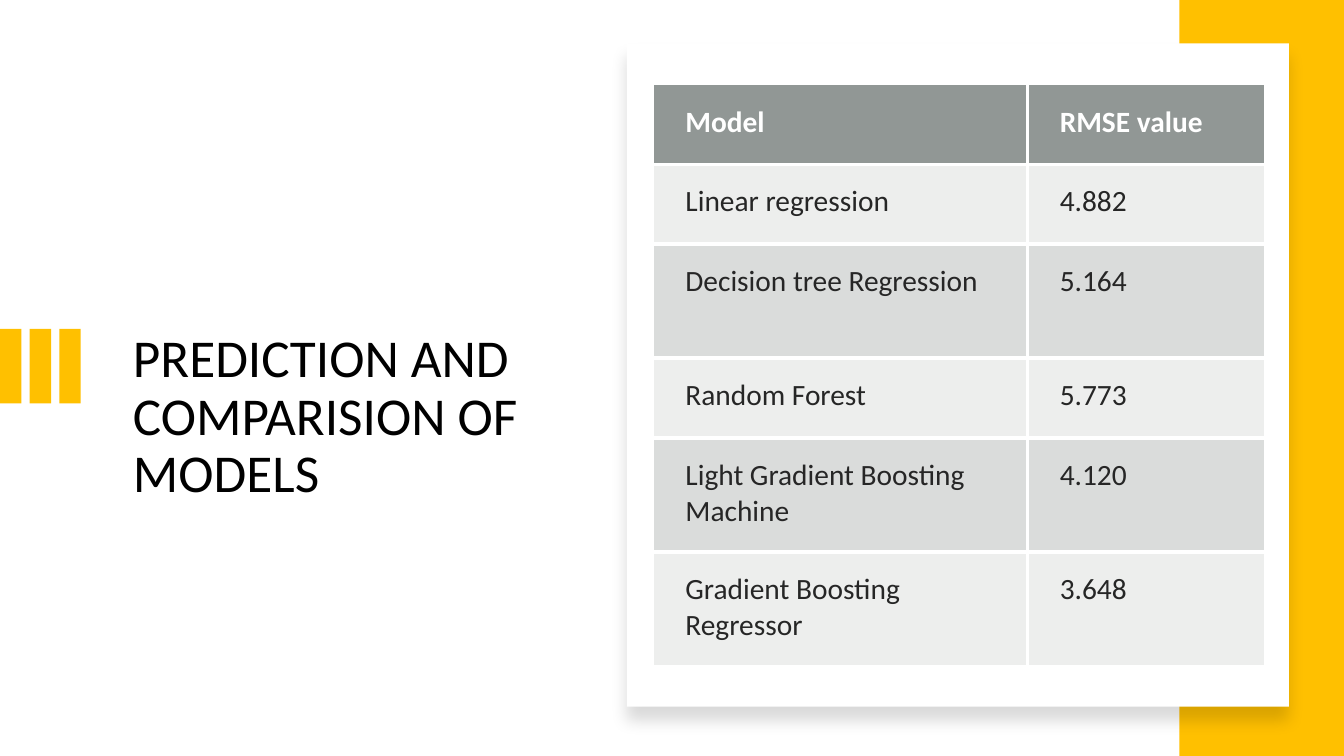
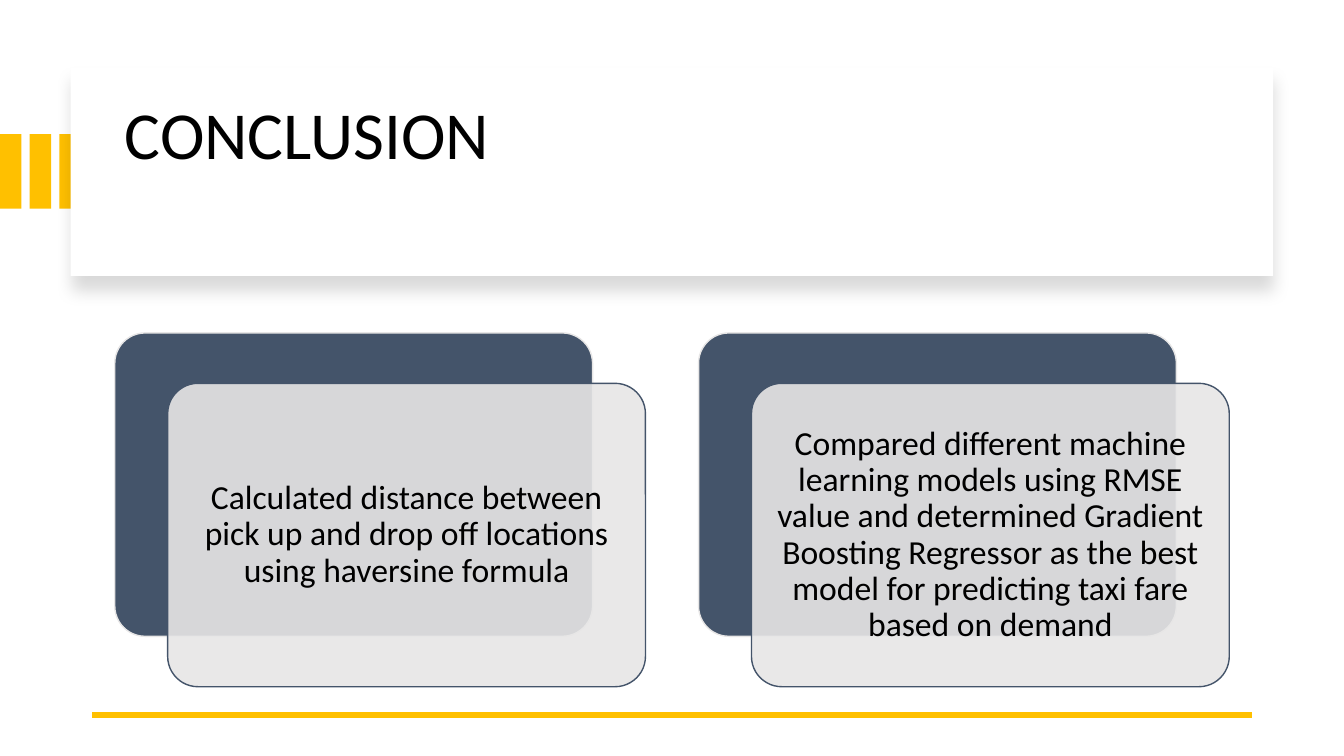
from lxml import etree
from pptx import Presentation
from pptx.dml.color import RGBColor
from pptx.enum.shapes import MSO_CONNECTOR, MSO_SHAPE
from pptx.enum.text import MSO_ANCHOR, PP_ALIGN
from pptx.oxml.ns import qn
from pptx.util import Pt

RECT, ROUND = MSO_SHAPE.RECTANGLE, MSO_SHAPE.ROUNDED_RECTANGLE
STRAIGHT = MSO_CONNECTOR.STRAIGHT
TOP, MIDDLE = MSO_ANCHOR.TOP, MSO_ANCHOR.MIDDLE
LEFT, CENTER = PP_ALIGN.LEFT, PP_ALIGN.CENTER

FONT = "Calibri"
COLORS = {
    "accent": "FFC000", "white": "FFFFFF", "black": "000000",
    "header": "636B68", "row": "878E8B", "cell_text": "262626",
    "navy": "44546A", "pale": "E7E6E6",
}
MODELS = [
    ("Model", "RMSE value"),
    ("Linear regression", "4.882"),
    ("Decision tree Regression", "5.164"),
    ("Random Forest", "5.773"),
    ("Light Gradient Boosting Machine", "4.120"),
    ("Gradient Boosting Regressor", "3.648"),
]
ROW_HEIGHTS = [57, 57, 81.4, 57, 81.4, 81.4]
COL_WIDTHS = [267.4, 169.2]
CONCLUSIONS = [
    "Calculated distance between pick up and drop off locations "
    "using haversine formula",
    "Compared different machine learning models using RMSE value and "
    "determined Gradient Boosting Regressor as the best model for "
    "predicting taxi fare based on demand",
]


def rgb(name):
    return RGBColor.from_string(COLORS[name])


def set_fill(fill, props, color, opacity=100):
    fill.solid()
    fill.fore_color.rgb = rgb(color)
    if opacity < 100:
        clr = props.find(qn("a:solidFill") + "/" + qn("a:srgbClr"))
        etree.SubElement(clr, qn("a:alpha"), val=str(opacity * 1000))


def set_text(tf, text, size, color="black", bold=False, align=LEFT,
             anchor=TOP, spacing=0.9, insets=(7.2, 3.6, 7.2, 3.6)):
    tf.word_wrap = True
    tf.vertical_anchor = anchor
    (tf.margin_left, tf.margin_top,
     tf.margin_right, tf.margin_bottom) = map(Pt, insets)
    p = tf.paragraphs[0]
    p.alignment, p.line_spacing = align, spacing
    r = p.add_run()
    r.text = text
    r.font.name, r.font.size, r.font.bold = FONT, Pt(size), bold
    r.font.color.rgb = rgb(color)


def add_box(slide, box, color, kind=RECT, line=None, opacity=100):
    sp = slide.shapes.add_shape(kind, *map(Pt, box))
    sp.shadow.inherit = False
    set_fill(sp.fill, sp.element.spPr, color, opacity)
    if line:
        sp.line.color.rgb = rgb(line)
        sp.line.width = Pt(1)
    else:
        sp.line.fill.background()
    if kind == ROUND:
        sp.adjustments[0] = 0.1
    return sp


def add_panel(slide, box):
    """White panel with a soft shadow below it."""
    sp = add_box(slide, box, "white")
    effects = sp.element.spPr.find(qn("a:effectLst"))
    shadow = etree.SubElement(
        effects, qn("a:outerShdw"), blurRad=str(Pt(11)), dist=str(Pt(10)),
        dir="5400000", algn="t", rotWithShape="0")
    clr = etree.SubElement(shadow, qn("a:srgbClr"), val=COLORS["black"])
    etree.SubElement(clr, qn("a:alpha"), val="15000")


def add_bars(slide, top):
    """Three accent bars on the left edge."""
    for i in range(3):
        add_box(slide, (i * 21.2, top, 15.3, 53.2), "accent")


def add_title(slide, box, text, size, top_inset=3.6):
    sp = slide.shapes.title
    sp.left, sp.top, sp.width, sp.height = map(Pt, box)
    set_text(sp.text_frame, text, size, insets=(7.2, top_inset, 7.2, 3.6))
    sp.element.getparent().append(sp.element)  # bring to front


def set_borders(cell, sides):
    tc_pr = cell._tc.get_or_add_tcPr()
    for side in sides:
        ln = etree.SubElement(tc_pr, qn("a:ln" + side), w=str(Pt(3)))
        fill = etree.SubElement(ln, qn("a:solidFill"))
        etree.SubElement(fill, qn("a:srgbClr"), val=COLORS["white"])


def add_model_table(slide, left, top):
    rows, cols = len(MODELS), len(COL_WIDTHS)
    table = slide.shapes.add_table(
        rows, cols, Pt(left), Pt(top),
        Pt(sum(COL_WIDTHS)), Pt(sum(ROW_HEIGHTS))).table
    table.horz_banding = False
    for col, width in zip(table.columns, COL_WIDTHS):
        col.width = Pt(width)
    for i, values in enumerate(MODELS):
        table.rows[i].height = Pt(ROW_HEIGHTS[i])
        head = i == 0
        for j, value in enumerate(values):
            cell = table.cell(i, j)
            inner = {"L": j > 0, "R": j < cols - 1,
                     "T": i > 0, "B": i < rows - 1}
            set_text(cell.text_frame, value, 21, bold=head, spacing=1.0,
                     color="white" if head else "cell_text")
            # Cells keep their own margins
            cell.margin_left = Pt(23)
            cell.margin_top = cell.margin_right = cell.margin_bottom = Pt(13.8)
            set_borders(cell, [side for side, on in inner.items() if on])
            opacity = 70 if head else 15 if i % 2 else 30
            set_fill(cell.fill, cell._tc.tcPr,
                     "header" if head else "row", opacity)


def add_card(slide, left, top, text, width=341.3, height=216.7):
    """Dark card with a translucent text card offset in front."""
    add_box(slide, (left, top, width, height), "navy", ROUND, "pale")
    sp = add_box(slide, (left + 37.8, top + 36, width, height), "pale",
                 ROUND, "navy", 90)
    set_text(sp.text_frame, text, 24, align=CENTER, anchor=MIDDLE,
             insets=(7.2,) * 4)


def add_rule(slide, left, right, y):
    line = slide.shapes.add_connector(
        STRAIGHT, Pt(left), Pt(y), Pt(right), Pt(y))
    line.line.color.rgb = rgb("accent")
    line.line.width = Pt(4.5)
    etree.SubElement(line.element.spPr, qn("a:effectLst"))


def build_models(slide):
    add_bars(slide, 235)
    add_box(slide, (842.4, 0, 117.6, 540), "accent")
    add_panel(slide, (447.8, 30.9, 473, 473.8))
    add_model_table(slide, 466.6, 60.5)
    add_title(slide, (87.8, 233.3, 317.5, 188),
              "PREDICTION AND COMPARISION OF MODELS", 38)


def build_conclusion(slide):
    add_bars(slide, 95.8)
    add_panel(slide, (50.4, 48.2, 859, 149))
    add_title(slide, (82, 64, 801.4, 122.4), "CONCLUSION", 48, top_inset=8.5)
    add_rule(slide, 66, 894.2, 510.5)
    for i, text in enumerate(CONCLUSIONS):
        add_card(slide, 82 + i * 417, 237.8, text)


def main():
    prs = Presentation()
    prs.slide_width, prs.slide_height = Pt(960), Pt(540)
    title_only = prs.slide_layouts[5]
    for build in (build_models, build_conclusion):
        build(prs.slides.add_slide(title_only))
    prs.save("out.pptx")


if __name__ == "__main__":
    main()
